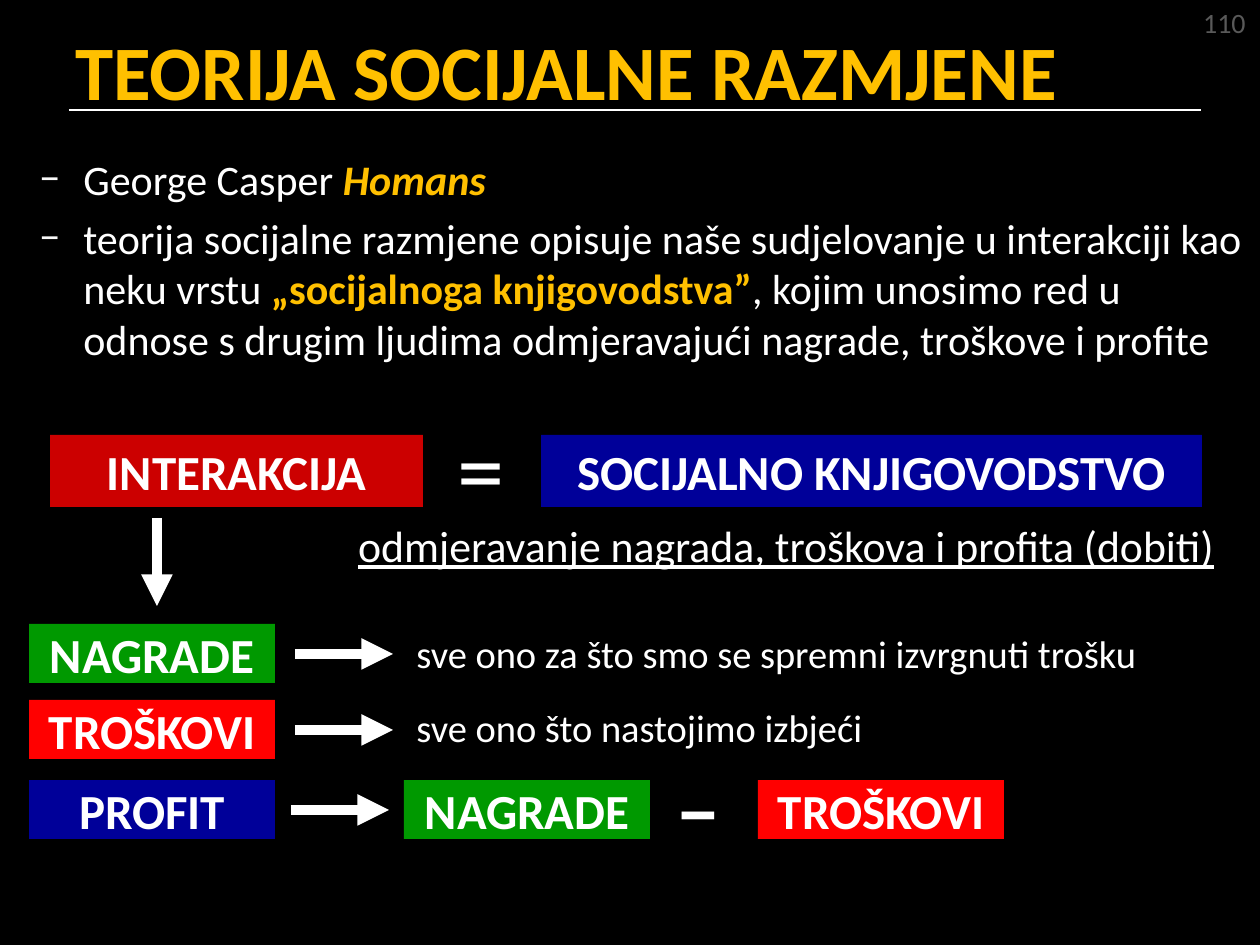
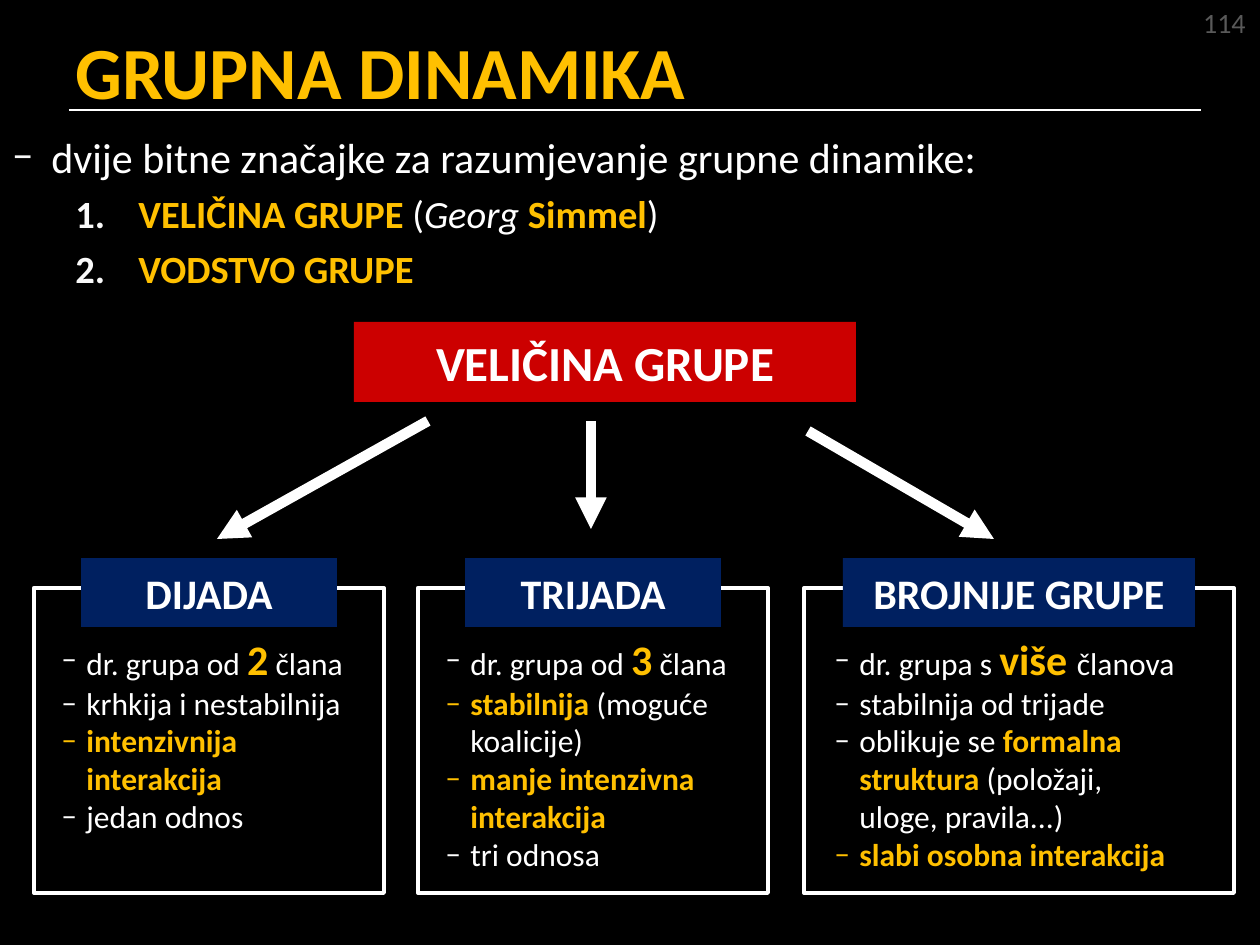
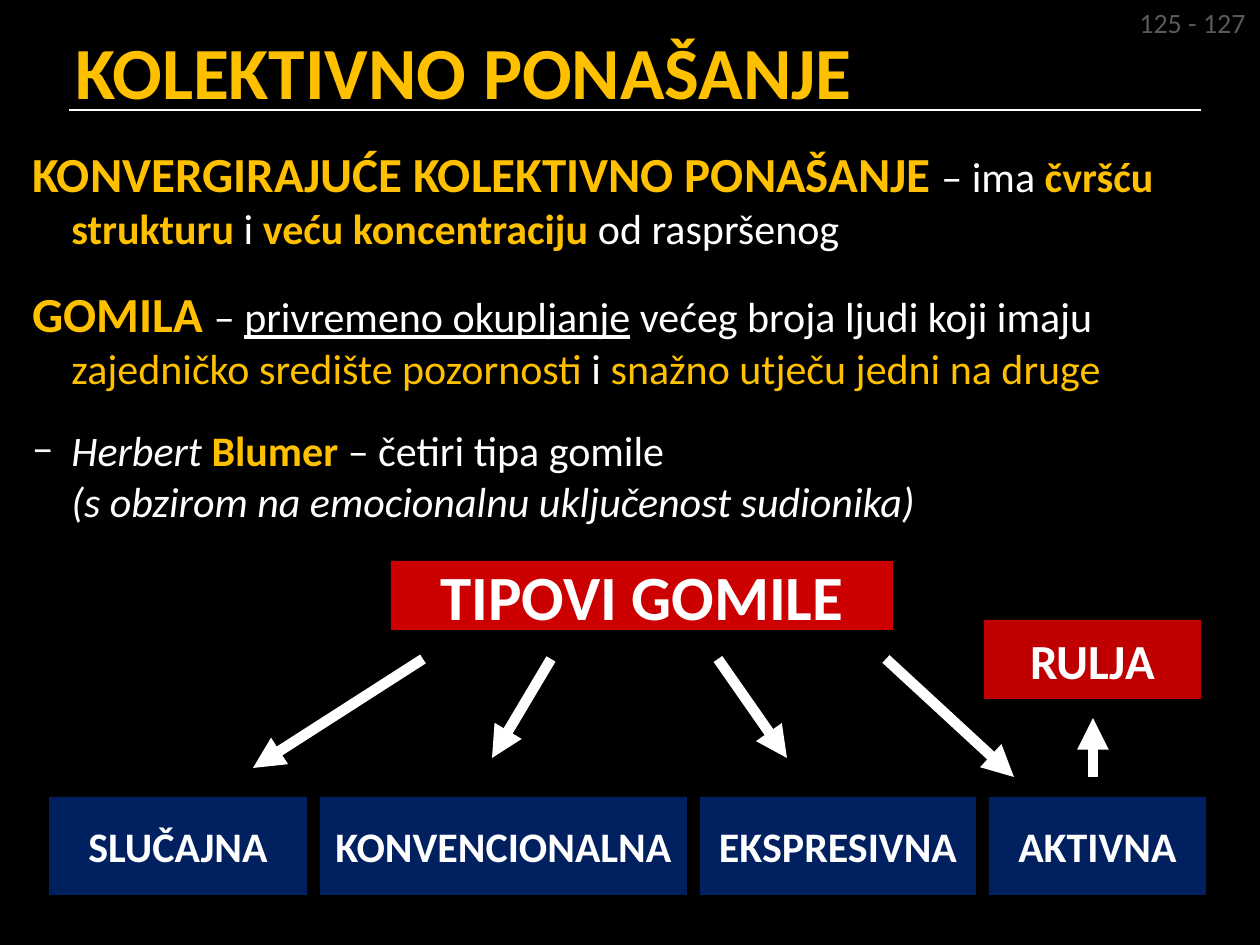
"""Build three lecture slides on social exchange, group dynamics and crowds."""
from lxml.etree import SubElement
from pptx import Presentation
from pptx.dml.color import RGBColor
from pptx.enum.shapes import MSO_CONNECTOR, MSO_SHAPE
from pptx.enum.text import MSO_ANCHOR as ANCHOR, PP_ALIGN as ALIGN
from pptx.oxml.ns import qn
from pptx.util import Pt

PX = 914400 / 126
FONT = "Calibri"
COLORS = {
    "black": "000000", "white": "FFFFFF", "gold": "FFC000", "grey": "595959",
    "bullet": "F9F9F9", "crimson": "CC0000", "dark_red": "C00000",
    "red": "FF0000", "green": "009900", "blue": "000099", "navy": "002060",
}


def px(value):
    return round(value * PX)


def rgb(name):
    return RGBColor.from_string(COLORS[name])


def format_run(run, size, color="white", bold=False, italic=False, underline=False):
    font = run.font
    font.name, font.size = FONT, Pt(size)
    font.bold, font.italic, font.underline = bold, italic, underline
    font.color.rgb = rgb(color)


def add_bullet(paragraph, mark, color):
    properties = paragraph._p.get_or_add_pPr()
    if color:
        holder = SubElement(properties, qn("a:buClr"))
        SubElement(holder, qn("a:srgbClr")).set("val", COLORS[color])
    SubElement(properties, qn("a:buFont")).set("typeface", FONT)
    if mark == "1.":
        SubElement(properties, qn("a:buAutoNum")).set("type", "arabicPeriod")
    else:
        SubElement(properties, qn("a:buChar")).set("char", mark)


def fill_paragraph(paragraph, runs, size, margin=0, hang=0, mark=None,
                   mark_color=None, before=0):
    """Write (text, flags, size) runs; flags are y gold, b bold, i italic, u underlined."""
    properties = paragraph._p.get_or_add_pPr()
    properties.set("marL", str(px(margin)))
    properties.set("indent", str(px(-hang)))
    if mark:
        add_bullet(paragraph, mark, mark_color)
    paragraph.space_before = Pt(before)
    for text, flags, *own_size in runs:
        for index, part in enumerate(text.split("\n")):
            if index:
                paragraph.add_line_break()
            if part:
                run = paragraph.add_run()
                run.text = part
                format_run(run, own_size[0] if own_size else size,
                           "gold" if "y" in flags else "white",
                           "b" in flags, "i" in flags, "u" in flags)


def add_text_box(slide, left, top, width, height):
    frame = slide.shapes.add_textbox(px(left), px(top), px(width), px(height)).text_frame
    frame.word_wrap = True
    return frame


def add_label(slide, box, text, size, align=ALIGN.LEFT, **style):
    frame = add_text_box(slide, *box)
    frame.text = text
    paragraph = frame.paragraphs[0]
    paragraph.alignment = align
    format_run(paragraph.runs[0], size, **style)
    return frame


def add_paragraphs(slide, box, paragraphs):
    frame = add_text_box(slide, *box)
    for index, options in enumerate(paragraphs):
        paragraph = frame.add_paragraph() if index else frame.paragraphs[0]
        fill_paragraph(paragraph, **options)


def add_rectangle(slide, left, top, width, height):
    shape = slide.shapes.add_shape(MSO_SHAPE.RECTANGLE, px(left), px(top),
                                   px(width), px(height))
    shape.shadow.inherit = False
    return shape


def add_box(slide, left, top, width, height, text, color, size=28):
    shape = add_rectangle(slide, left, top, width, height)
    shape.fill.solid()
    shape.fill.fore_color.rgb = rgb(color)
    shape.line.fill.background()
    frame = shape.text_frame
    frame.word_wrap = True
    frame.vertical_anchor = ANCHOR.MIDDLE
    frame.text = text
    frame.paragraphs[0].alignment = ALIGN.CENTER
    format_run(frame.paragraphs[0].runs[0], size, bold=True)


def add_frame(slide, left, top, width, height):
    shape = add_rectangle(slide, left, top, width, height)
    shape.fill.background()
    shape.line.color.rgb = rgb("white")
    shape.line.width = Pt(2.25)


def add_line(slide, start_x, start_y, end_x, end_y, weight=1):
    connector = slide.shapes.add_connector(
        MSO_CONNECTOR.STRAIGHT, px(start_x), px(start_y), px(end_x), px(end_y))
    connector.line.color.rgb = rgb("white")
    connector.line.width = Pt(weight)
    SubElement(connector._element.spPr, qn("a:effectLst"))
    return connector


def add_arrow(slide, *ends):
    connector = add_line(slide, *ends, weight=6)
    outline = connector._element.spPr.find(qn("a:ln"))
    SubElement(outline, qn("a:tailEnd")).set("type", "triangle")


def add_slide(presentation, title, pages, title_size=42, page_width=68):
    slide = presentation.slides.add_slide(presentation.slide_layouts[6])
    slide.background.fill.solid()
    slide.background.fill.fore_color.rgb = rgb("black")
    add_line(slide, 69, 110, 1201, 110)
    heading = add_label(slide, (63, 10, 1148, 120), title, title_size,
                        color="gold", bold=True)
    heading.vertical_anchor = ANCHOR.MIDDLE
    number = add_label(slide, (1258 - page_width, -1, page_width, 47), pages, 16,
                       ALIGN.RIGHT, color="grey")
    number.word_wrap = False
    return slide


def build_exchange(presentation):
    slide = add_slide(presentation, "TEORIJA SOCIJALNE RAZMJENE", "110", title_size=44)
    dash = dict(size=24, margin=76, hang=44, mark="−", mark_color="bullet")
    add_paragraphs(slide, (-5, 147, 1260, 777), [
        dict(dash, runs=[("George Casper ", ""), ("Homans", "ybi")]),
        dict(dash, before=5, runs=[
            ("teorija socijalne razmjene opisuje naše sudjelovanje u interakciji "
             "kao neku vrstu ", ""),
            ("„socijalnoga knjigovodstva”", "yb"),
            (", kojim unosimo red u odnose s drugim ljudima odmjeravajući nagrade, "
             "troškove i profite", "")]),
    ])
    add_label(slide, (212, 513, 1014, 79),
              "odmjeravanje nagrada, troškova i profita (dobiti)", 25,
              ALIGN.RIGHT, underline=True)
    add_box(slide, 50, 435, 373, 72, "INTERAKCIJA", "crimson")
    add_box(slide, 541, 435, 661, 72, "SOCIJALNO KNJIGOVODSTVO", "blue")
    add_label(slide, (445, 404, 66, 127), "=", 54)
    add_arrow(slide, 157, 518, 157, 606)

    terms = [("NAGRADE", "green", 624, 295), ("TROŠKOVI", "red", 700, 295),
             ("PROFIT", "blue", 780, 291)]
    for text, color, top, arrow_left in terms:
        add_box(slide, 29, top, 246, 59, text, color)
        add_arrow(slide, arrow_left, top + 30, arrow_left + 98, top + 30)
    add_label(slide, (404, 624, 856, 59),
              "sve ono za što smo se spremni izvrgnuti trošku", 22)
    add_label(slide, (404, 698, 827, 59), "sve ono što nastojimo izbjeći", 22)
    add_box(slide, 404, 780, 246, 59, "NAGRADE", "green")
    add_label(slide, (665, 752, 77, 115), "−", 48, bold=True)
    add_box(slide, 758, 780, 246, 59, "TROŠKOVI", "red")


def add_group_card(slide, left, width, head_width, inset, title, items):
    add_frame(slide, left, 588, width, 305)
    add_box(slide, left + (width - head_width) // 2, 558, head_width, 69,
            title, "navy", 24)
    add_paragraphs(slide, (left + inset, 627, width - inset, 255), [
        dict(runs=runs, size=18, margin=25, hang=25, mark="–") for runs in items])


def build_groups(presentation):
    slide = add_slide(presentation, "GRUPNA DINAMIKA", "114")
    numbered = dict(size=22, margin=126, hang=63, mark="1.", mark_color="bullet", before=5)
    add_paragraphs(slide, (0, 125, 1260, 787), [
        dict(runs=[("dvije bitne značajke za razumjevanje grupne dinamike:", "")],
             size=24, margin=39, hang=39, mark="−", mark_color="bullet"),
        dict(numbered, runs=[("VELIČINA GRUPE ", "yb"), ("(", ""), ("Georg ", "i"),
                             ("Simmel", "yb"), (")", "")]),
        dict(numbered, runs=[("VODSTVO GRUPE", "yb")]),
    ])
    add_box(slide, 354, 322, 502, 80, "VELIČINA GRUPE", "crimson")
    for ends in [(428, 421, 217, 539), (591, 421, 591, 529), (808, 431, 994, 539)]:
        add_arrow(slide, *ends)

    add_group_card(slide, 34, 350, 256, 15, "DIJADA", [
        [("dr. grupa od ", ""), ("2", "yb", 24), (" člana", "")],
        [("krhkija i nestabilnija", "")],
        [("intenzivnija interakcija", "yb")],
        [("jedan odnos", "")],
    ])
    add_group_card(slide, 418, 350, 256, 15, "TRIJADA", [
        [("dr. grupa od ", ""), ("3", "yb", 24), (" člana", "")],
        [("stabilnija", "yb"), (" (moguće koalicije)", "")],
        [("manje intenzivna interakcija", "yb")],
        [("tri odnosa", "")],
    ])
    add_group_card(slide, 804, 430, 352, 18, "BROJNIJE GRUPE", [
        [("dr. grupa s ", ""), ("više ", "yb", 24), ("članova", "")],
        [("stabilnija od trijade", "")],
        [("oblikuje se ", ""), ("formalna struktura", "yb"),
         (" (položaji, \nuloge, pravila...)", "")],
        [("slabi osobna interakcija", "yb")],
    ])


def build_crowds(presentation):
    slide = add_slide(presentation, "KOLEKTIVNO PONAŠANJE", "125 - 127", page_width=134)
    hanging = dict(size=24, margin=39, hang=39)
    add_paragraphs(slide, (20, 137, 1240, 403), [
        dict(hanging, runs=[
            ("KONVERGIRAJUĆE KOLEKTIVNO PONAŠANJE ", "yb", 28), ("– ima ", ""),
            ("čvršću strukturu", "yb"), (" i ", ""), ("veću koncentraciju ", "yb"),
            ("od raspršenog", "")]),
        dict(hanging, before=18, runs=[
            ("GOMILA ", "yb", 28), ("– ", ""), ("privremeno okupljanje", "u"),
            (" većeg broja ljudi koji imaju ", ""),
            ("zajedničko središte pozornosti ", "y"), ("i ", ""),
            ("snažno utječu jedni na druge", "y")]),
        dict(hanging, before=18, mark="−", mark_color="bullet", runs=[
            ("Herbert ", "i"), ("Blumer", "yb"), (" – četiri tipa gomile \n", ""),
            ("(s obzirom na emocionalnu uključenost sudionika)", "i")]),
    ])
    add_box(slide, 391, 561, 502, 69, "TIPOVI GOMILE", "crimson", 36)
    add_box(slide, 984, 620, 217, 79, "RULJA", "dark_red")

    left, gap = 49, 13
    for text, width in [("SLUČAJNA", 258), ("KONVENCIONALNA", 367),
                        ("EKSPRESIVNA", 276), ("AKTIVNA", 217)]:
        add_box(slide, left, 797, width, 98, text, "navy", 24)
        left += width + gap
    for start_x, end_x, end_y in [(423, 253, 768), (551, 492, 758),
                                  (718, 787, 758), (886, 1014, 777)]:
        add_arrow(slide, start_x, 659, end_x, end_y)
    add_arrow(slide, 1093, 777, 1093, 718)


def main():
    presentation = Presentation()
    presentation.slide_width, presentation.slide_height = px(1260), px(945)
    build_exchange(presentation)
    build_groups(presentation)
    build_crowds(presentation)
    presentation.save("out.pptx")


if __name__ == "__main__":
    main()
